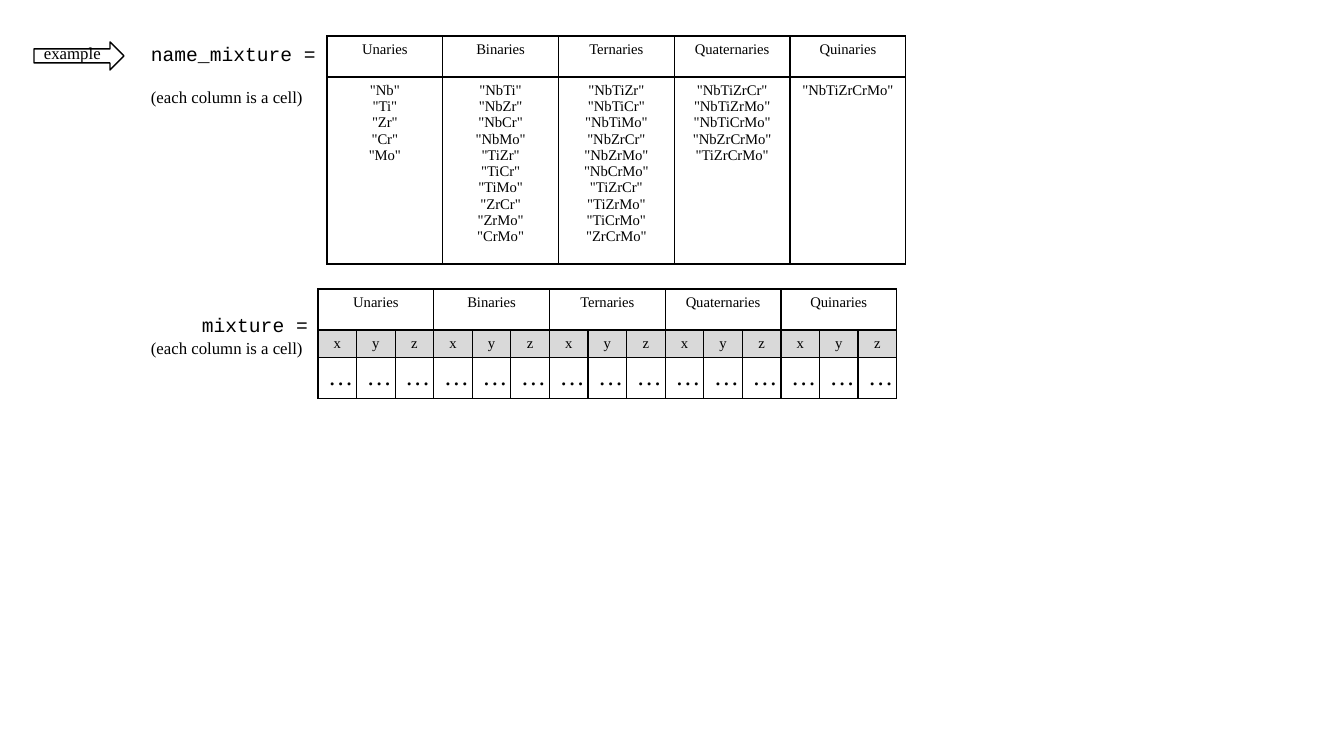
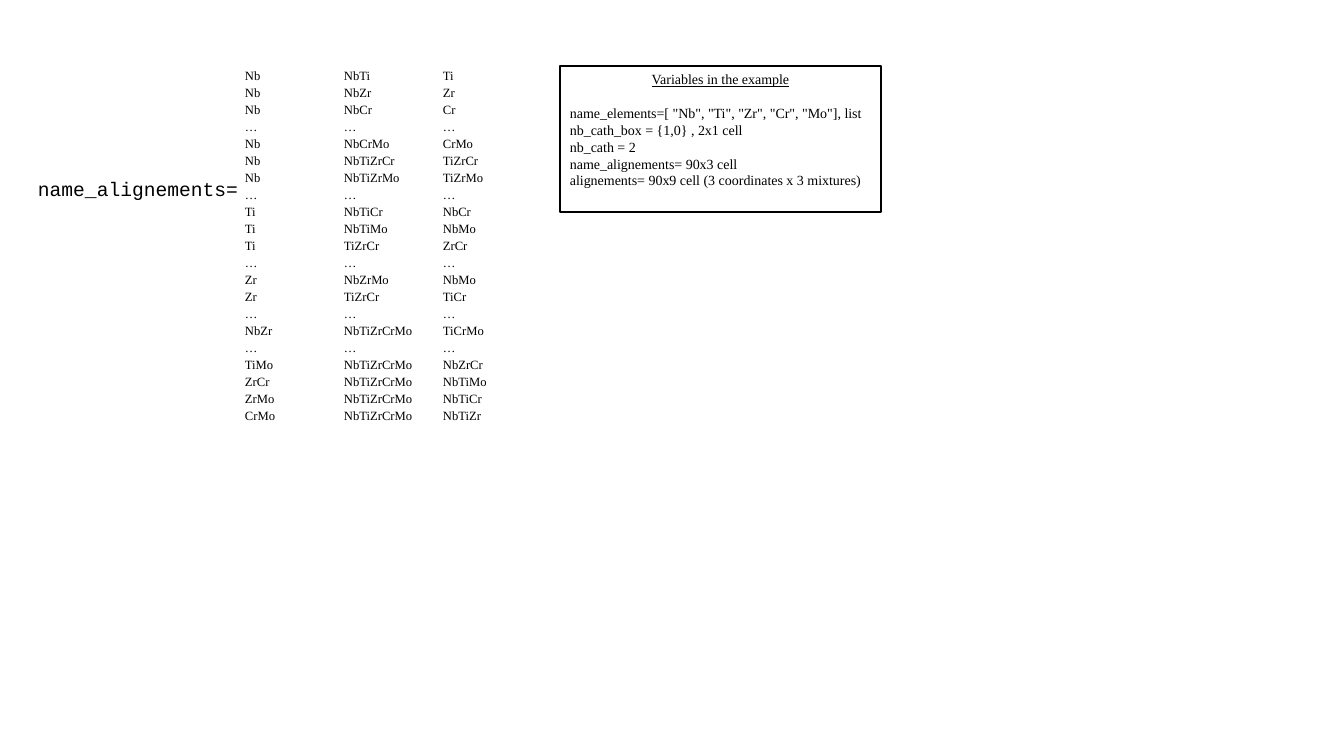
from itertools import combinations

from pptx import Presentation, util as u
from pptx.dml.color import RGBColor
from pptx.enum import shapes, text
from pptx.oxml.ns import qn
from lxml import etree

PIXEL = 9071  # EMU in one pixel
BLACK, WHITE, GREY = "000000", "FFFFFF", "D9D9D9"
LEFT, CENTER = text.PP_ALIGN.LEFT, text.PP_ALIGN.CENTER

# Shared text styles
CODE = {"name": "Courier New", "size": u.Pt(14)}
NOTE = {"name": "Times New Roman", "size": u.Pt(12)}
CELL = {**NOTE, "size": u.Pt(10.5)}
DOTS = {**NOTE, "size": u.Pt(18)}
SMALL = {**NOTE, "size": u.Pt(9)}
BOX = {**NOTE, "size": u.Pt(10)}


def write(frame, lines, style, alignment=LEFT):
    for index, line in enumerate(lines):
        paragraph = frame.paragraphs[0] if index == 0 else frame.add_paragraph()
        paragraph.alignment = alignment
        run = paragraph.add_run()
        run.text = line
        run.font.color.rgb = RGBColor.from_string(BLACK)
        for name, value in style.items():
            setattr(run.font, name, value)


def add_grid(slide, left, top, width, rows, alignment=CENTER, bordered=True, cell_format={}):
    """Each row is (height, texts, text style, fill colour or None)."""
    columns = len(rows[-1][1])
    height = sum(row[0] for row in rows)
    area = [length * PIXEL for length in (left, top, width, height)]
    table = slide.shapes.add_table(len(rows), columns, *area).table
    table.first_row = table.horz_banding = False
    for column in table.columns:
        column.width = width * PIXEL // columns
    for row_index, (row_height, texts, style, fill) in enumerate(rows):
        table.rows[row_index].height = row_height * PIXEL
        span = columns // len(texts)
        for column_index in range(columns):
            cell = table.cell(row_index, column_index)
            properties = cell._tc.get_or_add_tcPr()
            for side in ("a:lnL", "a:lnR", "a:lnT", "a:lnB"):
                line = etree.SubElement(properties, qn(side), w=str(u.Pt(1)))
                if bordered:
                    solid = etree.SubElement(line, qn("a:solidFill"))
                    etree.SubElement(solid, qn("a:srgbClr"), val=BLACK)
                else:
                    etree.SubElement(line, qn("a:noFill"))
            if fill:
                cell.fill.solid()
                cell.fill.fore_color.rgb = RGBColor.from_string(fill)
            else:
                cell.fill.background()
            for name, value in cell_format.items():
                setattr(cell, name, value)
        for index, content in enumerate(texts):
            cell = table.cell(row_index, index * span)
            if span > 1:
                cell.merge(table.cell(row_index, index * span + span - 1))
            write(cell.text_frame, content.split("\n"), style, alignment)


presentation = Presentation()
presentation.slide_width = 1344 * PIXEL
presentation.slide_height = 756 * PIXEL
blank = presentation.slide_layouts[6]
mixture_slide = presentation.slides.add_slide(blank)
alignment_slide = presentation.slides.add_slide(blank)

# Example arrow
arrow = mixture_slide.shapes.add_shape(
    shapes.MSO_SHAPE.RIGHT_ARROW, 34 * PIXEL, 42 * PIXEL, 90 * PIXEL, 28 * PIXEL)
arrow.shadow.inherit = False
arrow.fill.solid()
arrow.fill.fore_color.rgb = RGBColor.from_string(WHITE)
arrow.line.color.rgb = RGBColor.from_string(BLACK)
arrow.line.width = u.Pt(1)

# Labels
for slide, left, top, width, height, label, style in [
    (mixture_slide, 141, 37, 186, 34, "name_mixture =", CODE),
    (mixture_slide, 34, 38, 110, 30, "example", NOTE),
    (mixture_slide, 192, 308, 127, 34, "mixture =", CODE),
    (mixture_slide, 141, 82, 212, 30, "(each column is a cell)", NOTE),
    (mixture_slide, 141, 333, 212, 30, "(each column is a cell)", NOTE),
    (alignment_slide, 28, 172, 222, 34, "name_alignements=", CODE),
]:
    label_box = slide.shapes.add_textbox(
        left * PIXEL, top * PIXEL, width * PIXEL, height * PIXEL)
    label_box.text_frame.word_wrap = style is NOTE
    write(label_box.text_frame, [label], style)

# Mixture tables: every combination of one to five elements
elements = ["Nb", "Ti", "Zr", "Cr", "Mo"]
orders = ["Unaries", "Binaries", "Ternaries", "Quaternaries", "Quinaries"]
mixtures = ["\n".join(f'"{"".join(group)}"' for group in combinations(elements, size))
            for size in range(1, 6)]
add_grid(mixture_slide, 327, 36, 579, [
    (41, orders, CELL, None),
    (187, mixtures, CELL, None),
])
add_grid(mixture_slide, 318, 289, 579, [
    (41, orders, CELL, None),
    (27, ["x", "y", "z"] * 5, CELL, GREY),
    (41, ["…"] * 15, DOTS, None),
])

# Alignment table
alignments = """Nb NbTi Ti
Nb NbZr Zr
Nb NbCr Cr
… … …
Nb NbCrMo CrMo
Nb NbTiZrCr TiZrCr
Nb NbTiZrMo TiZrMo
… … …
Ti NbTiCr NbCr
Ti NbTiMo NbMo
Ti TiZrCr ZrCr
… … …
Zr NbZrMo NbMo
Zr TiZrCr TiCr
… … …
NbZr NbTiZrCrMo TiCrMo
… … …
TiMo NbTiZrCrMo NbZrCr
ZrCr NbTiZrCrMo NbTiMo
ZrMo NbTiZrCrMo NbTiCr
CrMo NbTiZrCrMo NbTiZr"""
add_grid(
    alignment_slide, 244, 66, 297,
    [(17, line.split(), SMALL, None) for line in alignments.split("\n")],
    LEFT, bordered=False,
    cell_format={"vertical_anchor": text.MSO_ANCHOR.BOTTOM, "margin_left": PIXEL,
                 "margin_right": PIXEL, "margin_top": PIXEL, "margin_bottom": 0})

# Variables box
variables = alignment_slide.shapes.add_shape(
    shapes.MSO_SHAPE.RECTANGLE, 560 * PIXEL, 66 * PIXEL, 321 * PIXEL, 146 * PIXEL)
variables.shadow.inherit = False
variables.fill.background()
variables.line.color.rgb = RGBColor.from_string(BLACK)
variables.line.width = u.Pt(1.5)
frame = variables.text_frame
frame.word_wrap = True
frame.vertical_anchor = text.MSO_ANCHOR.TOP
write(frame, [
    "Variables in the example",
    'name_elements=[\u00a0"Nb", "Ti", "Zr", "Cr", "Mo"], list',
    "nb_cath_box = {1,0} , 2x1 cell",
    "nb_cath = 2",
    "name_alignements= 90x3 cell",
    "alignements= 90x9 cell (3 coordinates x 3 mixtures)",
], BOX)
heading = frame.paragraphs[0]
heading.alignment = CENTER
heading.space_after = u.Pt(12)
heading.runs[0].font.underline = True

presentation.save("out.pptx")
